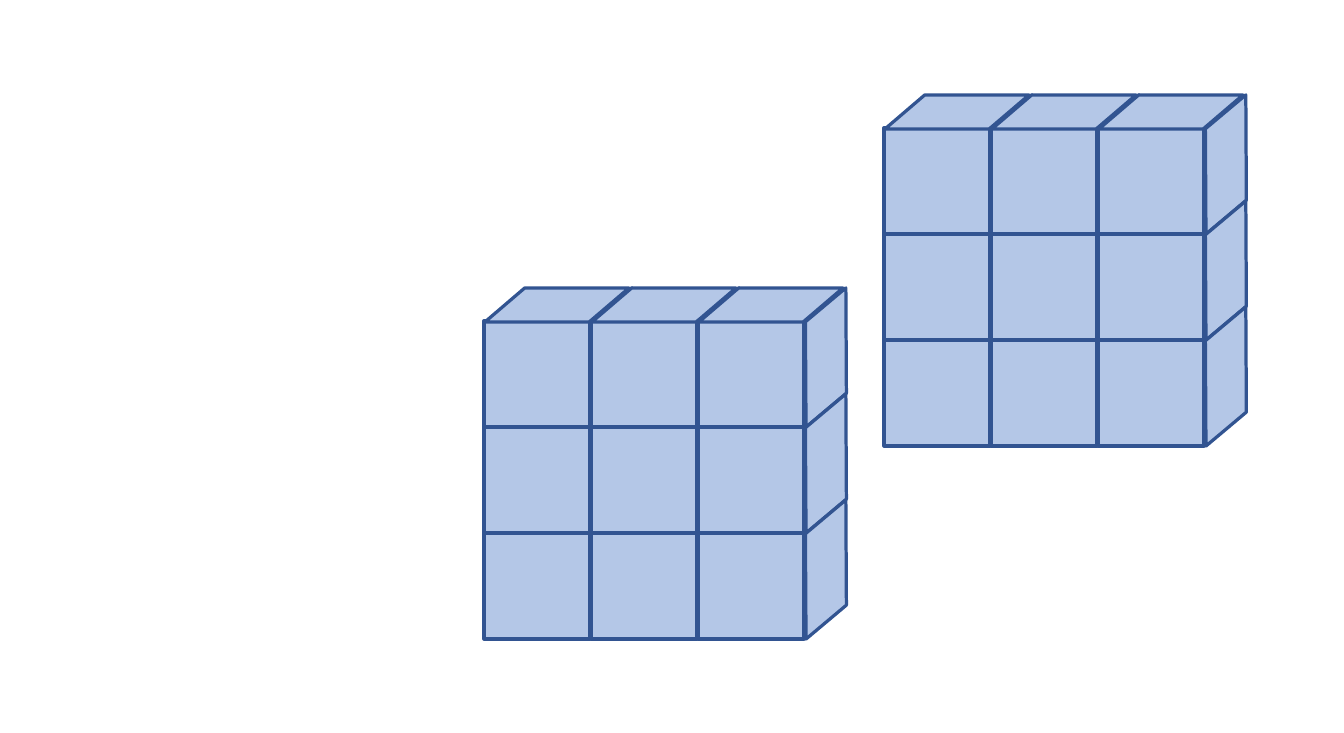
from pptx import Presentation
from pptx.dml.color import RGBColor
from pptx.enum.shapes import MSO_SHAPE as Shape
from pptx.util import Pt

PX = 5892  # EMU per px
FACE_FILL = RGBColor(0xB4, 0xC7, 0xE7)
EDGE = RGBColor(0x32, 0x54, 0x91)
BLOCK_ORIGINS = [(484, 321), (884, 128)]
COLUMNS = ROWS = 3
COLUMN_PITCH, ROW_PITCH = 107, 106

presentation = Presentation()
presentation.slide_width = 1344 * PX
presentation.slide_height = 733 * PX
slide = presentation.slides.add_slide(presentation.slide_layouts[6])


def add_face(shapes, kind, left, top, width, height, slant=None, rotation=0):
    face = shapes.add_shape(kind, left * PX, top * PX, width * PX, height * PX)
    if slant is not None:
        face.adjustments[0] = slant
    face.rotation = rotation
    face.fill.solid()
    face.fill.fore_color.rgb = FACE_FILL
    face.line.color.rgb = EDGE
    face.line.width = Pt(1.5)
    face.shadow.inherit = False


for block_left, block_top in BLOCK_ORIGINS:
    block = slide.shapes.add_group_shape().shapes
    for column in range(COLUMNS):
        left = block_left + column * COLUMN_PITCH
        for row in range(ROWS):
            top = block_top + row * ROW_PITCH
            add_face(block, Shape.RECTANGLE, left, top, 106, 106)
            if row == 0:
                add_face(block, Shape.PARALLELOGRAM, left + 1, top - 33, 144, 34, slant=1.17)
            add_face(block, Shape.PARALLELOGRAM, left + 68, top - 4, 120, 81,
                     slant=0.83, rotation=320)

presentation.save("out.pptx")
